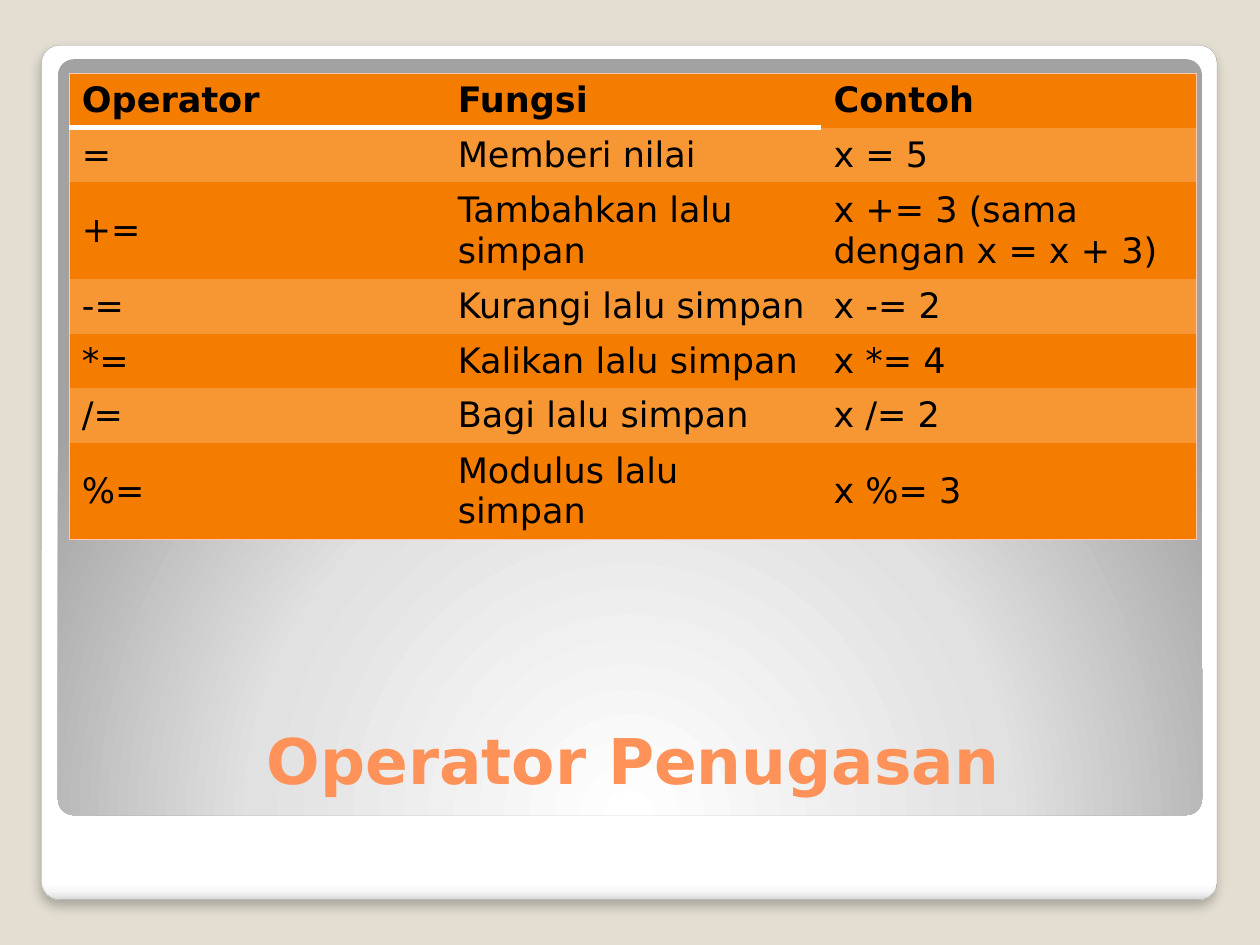
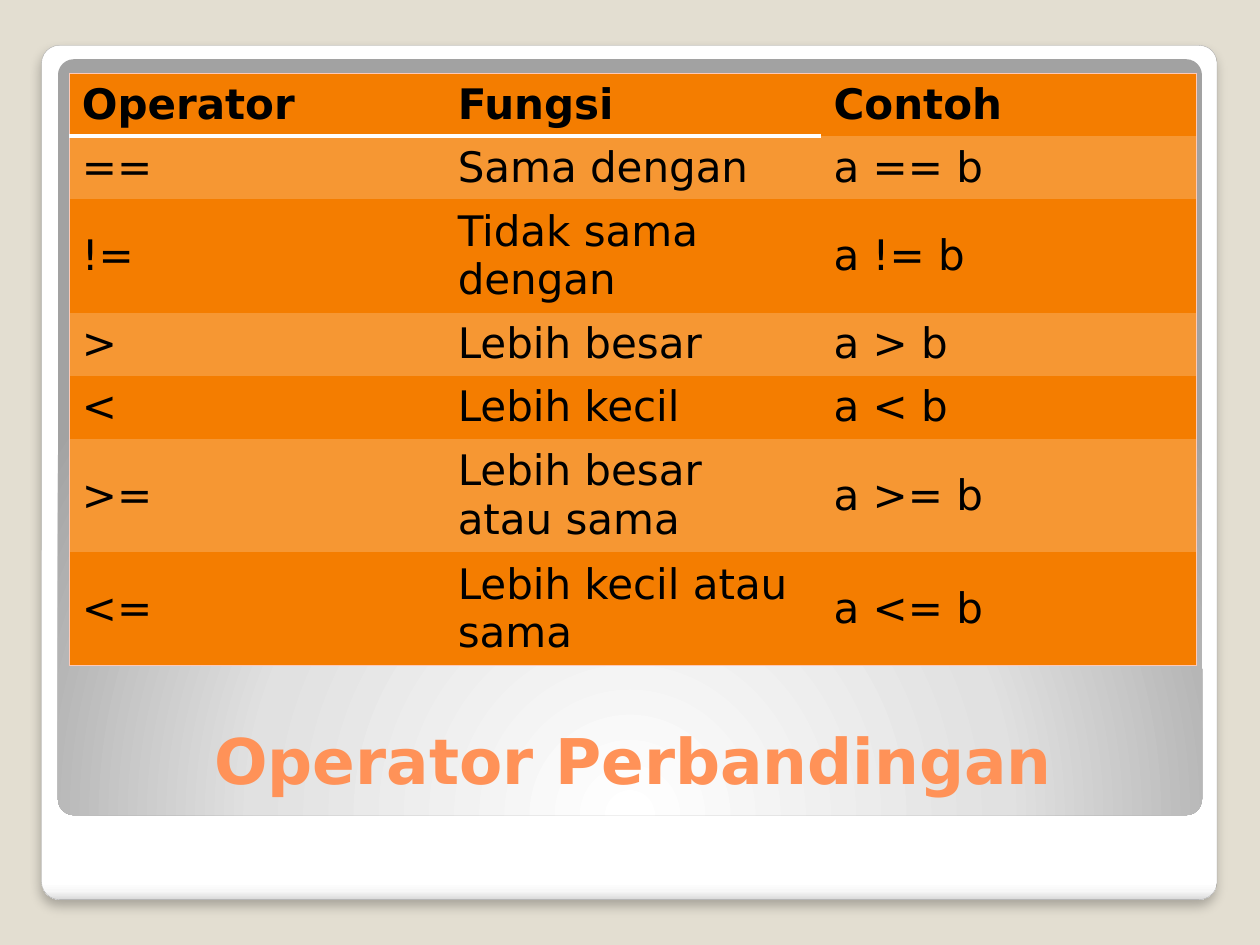
from dataclasses import dataclass

from pptx import Presentation
from pptx import util as u
from pptx.dml.color import RGBColor
from pptx.enum import shapes, text
from pptx.oxml import parse_xml
from pptx.oxml.ns import nsdecls, qn

HEADINGS = ("Operator", "Fungsi", "Contoh")

SLIDES = [
    {
        "title": "Operator Penugasan",
        "size": 20,
        "rows": [
            ("=", "Memberi nilai", "x = 5"),
            ("+=", "Tambahkan lalu simpan", "x += 3 (sama dengan x = x + 3)"),
            ("-=", "Kurangi lalu simpan", "x -= 2"),
            ("*=", "Kalikan lalu simpan", "x *= 4"),
            ("/=", "Bagi lalu simpan", "x /= 2"),
            ("%=", "Modulus lalu simpan", "x %= 3"),
        ],
    },
    {
        "title": "Operator Perbandingan",
        "size": 24,
        "rows": [
            ("==", "Sama dengan", "a == b"),
            ("!=", "Tidak sama dengan", "a != b"),
            (">", "Lebih besar", "a > b"),
            ("<", "Lebih kecil", "a < b"),
            (">=", "Lebih besar atau sama", "a >= b"),
            ("<=", "Lebih kecil atau sama", "a <= b"),
        ],
    },
]


@dataclass(frozen=True)
class Theme:
    font: str = "DejaVu Sans"
    title_size: int = 36
    title: str = "FF9258"
    ink: str = "000000"
    page: str = "E3DED1"
    frame_line: str = "A4A4A4"
    row: str = "F47D00"
    band: str = "F69733"
    edge: str = "FFC9B6"
    rule: str = "FFFFFF"
    frame_stops: tuple = ((0, "FFFFFF"), (98, "FFFFFF"), (99, "F7F7F7"), (100, "DADADA"))
    panel_stops: tuple = ((0, "FFFFFF"), (55, "E1E1E1"), (100, "A2A2A2"))


THEME = Theme()
WIDTH, HEIGHT = 10, 7.5
FRAME = (0.33, 0.36, 9.33, 6.78)
PANEL = (0.46, 0.47, 9.08, 6)
CONTENT_LEFT, CONTENT_WIDTH = 0.55, 8.95
TITLE = (CONTENT_LEFT, 5.45, CONTENT_WIDTH, 1.15)
TABLE_TOP, ROW_HEIGHT = 0.58, 0.41
CORNER = 0.021
PLAIN_TABLE = "{2D5ABB26-0587-4C30-8999-92F81FD0307C}"
DOWNWARD = '<a:lin ang="5400000" scaled="0"/>'
FROM_BELOW = ('<a:path path="circle"><a:fillToRect l="50000" t="175000" '
              'r="50000" b="-75000"/></a:path>')


def color(value):
    return RGBColor.from_string(value)


def inches(*lengths):
    return [u.Inches(length) for length in lengths]


def style(para, size, ink, bold):
    para.font.name = THEME.font
    para.font.size = u.Pt(size)
    para.font.color.rgb = color(ink)
    para.font.bold = bold


def add_card(page, place, stops, direction):
    card = page.shapes.add_shape(shapes.MSO_SHAPE.ROUNDED_RECTANGLE, *inches(*place))
    card.adjustments[0] = CORNER
    card.shadow.inherit = False
    card.line.fill.background()
    card.fill.background()
    marks = "".join(f'<a:gs pos="{share * 1000}"><a:srgbClr val="{value}"/></a:gs>'
                    for share, value in stops)
    gradient = parse_xml(f'<a:gradFill {nsdecls("a")} rotWithShape="1">'
                         f'<a:gsLst>{marks}</a:gsLst>{direction}</a:gradFill>')
    properties = card._element.spPr
    properties.replace(properties.find(qn("a:noFill")), gradient)
    return card


def add_backdrop(page):
    page.background.fill.solid()
    page.background.fill.fore_color.rgb = color(THEME.page)
    frame = add_card(page, FRAME, THEME.frame_stops, DOWNWARD)
    frame.line.color.rgb = color(THEME.frame_line)
    frame.line.width = u.Pt(0.16)
    frame._element.spPr.find(qn("a:effectLst")).append(parse_xml(
        f'<a:outerShdw {nsdecls("a")} blurRad="{u.Pt(6)}" dist="{u.Pt(4)}" '
        'dir="5400000" algn="t" rotWithShape="0">'
        '<a:srgbClr val="000000"><a:alpha val="25000"/></a:srgbClr></a:outerShdw>'))
    add_card(page, PANEL, THEME.panel_stops, FROM_BELOW)


def add_title(page, wording):
    box = page.shapes.add_textbox(*inches(*TITLE))
    frame = box.text_frame
    frame.word_wrap = True
    frame.vertical_anchor = text.MSO_ANCHOR.MIDDLE
    para = frame.paragraphs[0]
    para.text = wording
    para.alignment = text.PP_ALIGN.CENTER
    style(para, THEME.title_size, THEME.title, True)


def set_borders(cell, borders):
    properties = cell._tc.get_or_add_tcPr()
    sides = [side for side in "LRTB" if side in borders]
    for position, side in enumerate(sides):
        value, points = borders[side]
        properties.insert(position, parse_xml(
            f'<a:ln{side} {nsdecls("a")} w="{u.Pt(points)}"><a:solidFill>'
            f'<a:srgbClr val="{value}"/></a:solidFill></a:ln{side}>'))


def cell_borders(row, column, last_row, last_column):
    edge = (THEME.edge, 0.75)
    outer = {"L": column == 0, "R": column == last_column,
             "T": row == 0, "B": row == last_row}
    borders = {side: edge for side, on_edge in outer.items() if on_edge}
    if row == 0 and column < last_column:
        borders["B"] = (THEME.rule, 3)
    return borders


def add_operator_table(page, rows, size):
    lines = [HEADINGS, *rows]
    columns = len(HEADINGS)
    holder = page.shapes.add_table(len(lines), columns, *inches(
        CONTENT_LEFT, TABLE_TOP, CONTENT_WIDTH, ROW_HEIGHT * len(lines)))
    table = holder.table
    table._tbl.tblPr.find(qn("a:tableStyleId")).text = PLAIN_TABLE
    for row, line in enumerate(lines):
        for column, wording in enumerate(line):
            cell = table.cell(row, column)
            cell.vertical_anchor = text.MSO_ANCHOR.MIDDLE
            cell.fill.solid()
            cell.fill.fore_color.rgb = color(THEME.band if row % 2 else THEME.row)
            para = cell.text_frame.paragraphs[0]
            para.text = wording
            style(para, size, THEME.ink, row == 0)
            set_borders(cell, cell_borders(row, column, len(lines) - 1, columns - 1))


def main():
    deck = Presentation()
    deck.slide_width, deck.slide_height = inches(WIDTH, HEIGHT)
    for content in SLIDES:
        page = deck.slides.add_slide(deck.slide_layouts[6])
        add_backdrop(page)
        add_title(page, content["title"])
        add_operator_table(page, content["rows"], content["size"])
    deck.save("out.pptx")


if __name__ == "__main__":
    main()
